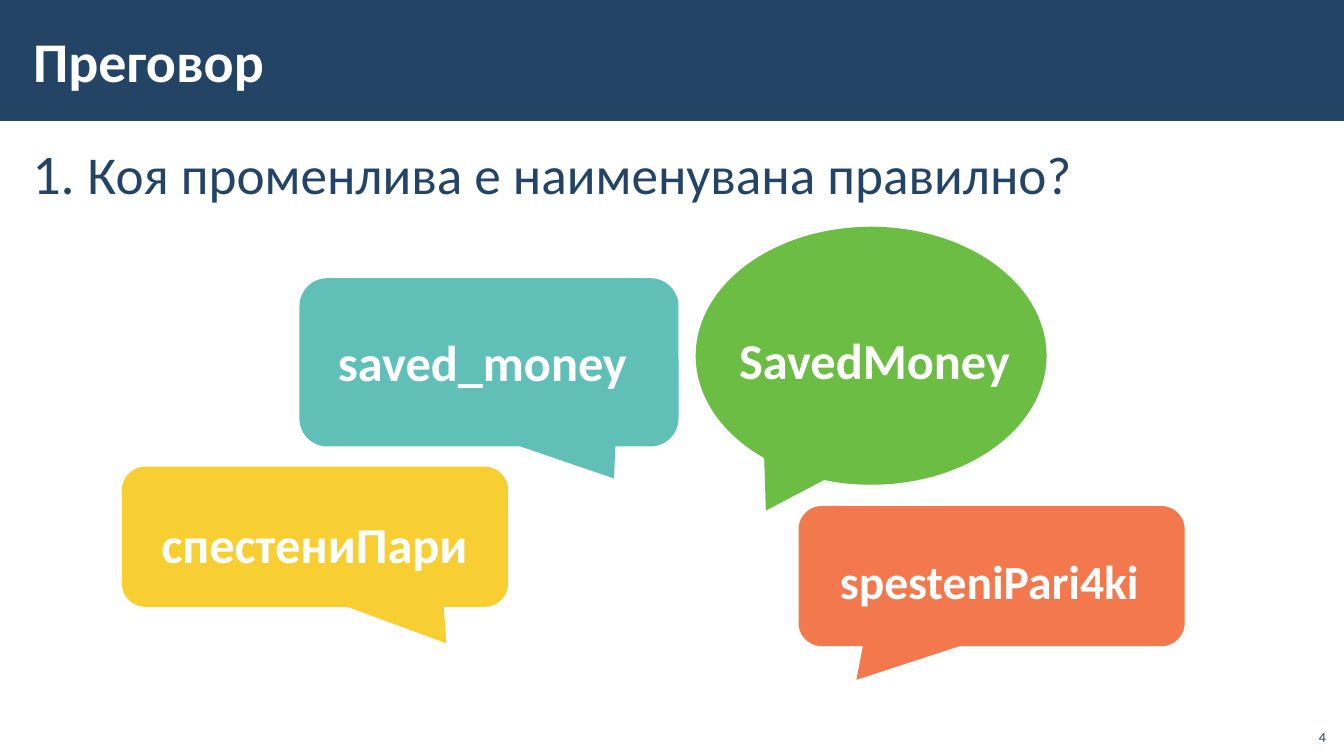
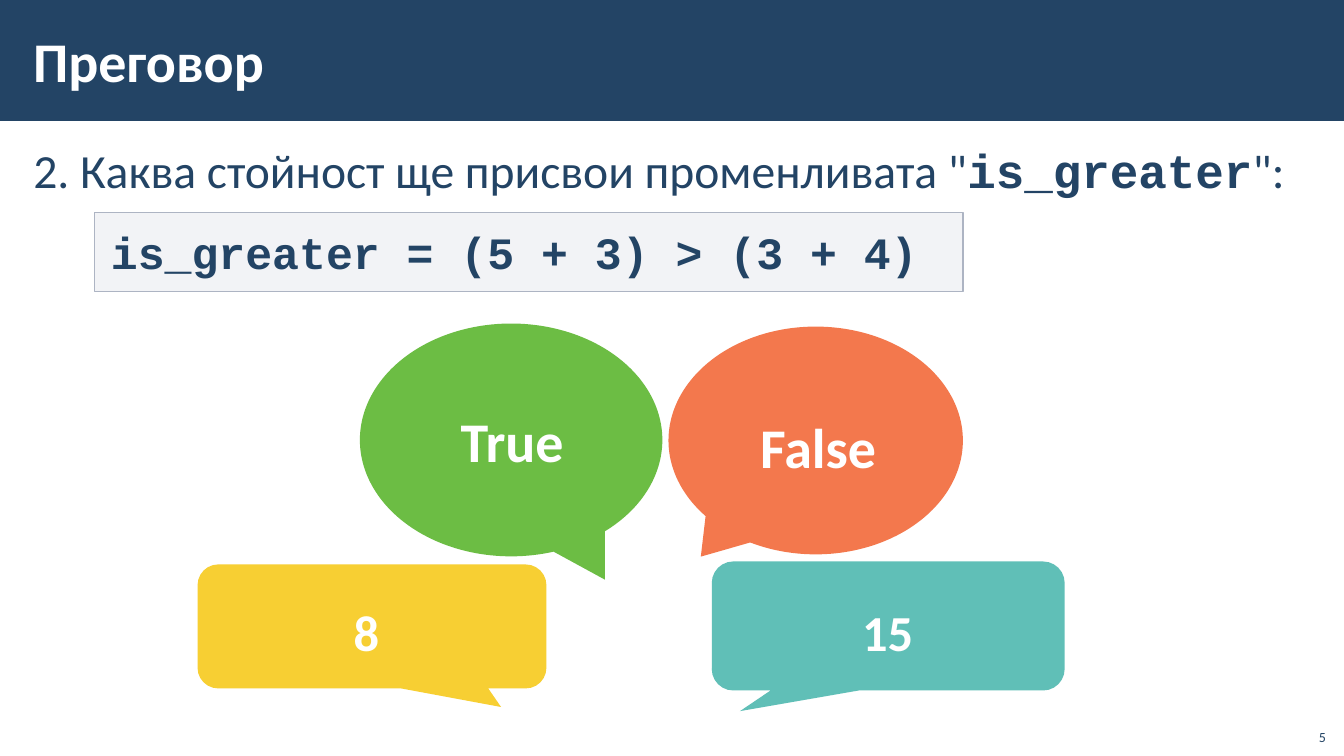
from lxml import etree
from pptx import Presentation
from pptx.dml.color import RGBColor
from pptx.enum.shapes import MSO_SHAPE
from pptx.enum.text import MSO_ANCHOR, PP_ALIGN
from pptx.oxml.ns import qn
from pptx.util import Inches, Pt

RECT = MSO_SHAPE.RECTANGLE
OVAL_CALLOUT = MSO_SHAPE.OVAL_CALLOUT
ROUND_CALLOUT = MSO_SHAPE.ROUNDED_RECTANGULAR_CALLOUT
TOP, MIDDLE, BOTTOM = MSO_ANCHOR.TOP, MSO_ANCHOR.MIDDLE, MSO_ANCHOR.BOTTOM
LEFT, CENTER, RIGHT = PP_ALIGN.LEFT, PP_ALIGN.CENTER, PP_ALIGN.RIGHT

COLORS = {
    "navy": "234465",
    "white": "FFFFFF",
    "gray": "ADB4C3",
    "green": "6CBD44",
    "teal": "60BFB7",
    "yellow": "F5C300",
    "orange": "F15721",
}
OPACITY = {"gray": 15, "yellow": 80, "orange": 80}
SANS, MONO = "Calibri", "Courier New"
BODY_INSETS = (0.12, 0.04)
BOX_INSETS = (0.16, 0.12)


def add_shape(shapes, kind, at, color):
    sp = shapes.add_shape(kind, *[Inches(v) for v in at])
    sp.shadow.inherit = False
    sp.fill.solid()
    sp.fill.fore_color.rgb = RGBColor.from_string(COLORS[color])
    if color in OPACITY:
        clr = sp.fill._xPr.find(qn("a:solidFill"))[0]
        etree.SubElement(clr, qn("a:alpha"), val=str(OPACITY[color] * 1000))
    sp.line.fill.background()
    return sp


def set_text(sp, runs, color, insets, anchor=TOP, align=LEFT, spacing=1.0, gap=0):
    tf = sp.text_frame
    tf.word_wrap = True
    tf.vertical_anchor = anchor
    tf.margin_left = tf.margin_right = Inches(insets[0])
    tf.margin_top = tf.margin_bottom = Inches(insets[1])
    p = tf.paragraphs[0]
    p.alignment = align
    p.line_spacing = spacing
    p.space_before = p.space_after = Pt(gap)
    for text, size, font, bold in runs:
        r = p.add_run()
        r.text = text
        r.font.size = Pt(size)
        r.font.name = font
        r.font.bold = bold
        r.font.color.rgb = RGBColor.from_string(COLORS[color])


SLIDES = [
    {
        "number": "4",
        "question_at": (0.2, 1.3, 12.91, 5.67),
        "question": [
            ("1. ", 40, SANS, False),
            ("Коя променлива е наименувана правилно?", 38, SANS, False),
        ],
        "code": None,
        "answers": [
            ("SavedMoney", 36, "green", OVAL_CALLOUT, (6.9, 2.25, 3.48, 2.56),
             (-0.3, 0.6), (7.17, 3.15, 3.22, 0.84), LEFT, 1.0),
            ("спестениПари", 36, "yellow", ROUND_CALLOUT, (1.21, 4.63, 3.83, 1.39),
             (0.34, 0.76), (1.08, 4.91, 4.08, 0.87), CENTER, 1.1),
            ("spesteniPari4ki", 34, "orange", ROUND_CALLOUT, (7.92, 5.02, 3.83, 1.39),
             (-0.35, 0.74), (8.17, 5.3, 3.44, 0.84), LEFT, 1.1),
            ("saved_money", 36, "teal", ROUND_CALLOUT, (2.97, 2.76, 3.76, 1.67),
             (0.33, 0.69), (3, 3.11, 3.57, 0.87), CENTER, 1.1),
        ],
    },
    {
        "number": "5",
        "question_at": (0.21, 1.33, 12.91, 5.67),
        "question": [
            ('2. Каква стойност ще присвои променливата "', 34, SANS, False),
            ("is_greater", 34, MONO, True),
            ('":', 34, SANS, False),
        ],
        "code": "is_greater = (5 + 3) > (3 + 4)",
        "answers": [
            ("8", 36, "yellow", ROUND_CALLOUT, (1.96, 5.6, 3.46, 1.23),
             (0.37, 0.65), (2.31, 5.78, 2.65, 0.87), CENTER, 1.1),
            ("True", 40, "green", OVAL_CALLOUT, (3.57, 3.21, 3, 2.31),
             (0.31, 0.6), (4.41, 3.91, 1.8, 0.91), LEFT, 1.0),
            ("False", 40, "orange", OVAL_CALLOUT, (6.63, 3.24, 2.92, 2.26),
             (-0.39, 0.51), (7.38, 3.91, 1.71, 0.94), LEFT, 1.1),
            ("15", 36, "teal", ROUND_CALLOUT, (7.06, 5.57, 3.5, 1.28),
             (-0.42, 0.66), (7.31, 5.78, 2.99, 0.87), CENTER, 1.1),
        ],
    },
]

prs = Presentation()
prs.slide_width = Inches(13.33)
prs.slide_height = Inches(7.5)

for content in SLIDES:
    s = prs.slides.add_slide(prs.slide_layouts[6])
    add_shape(s.shapes, RECT, (0, 0, 13.33, 1.2), "navy")

    question = s.shapes.add_textbox(*[Inches(v) for v in content["question_at"]])
    set_text(question, content["question"], "navy", BODY_INSETS, spacing=1.05, gap=6)

    title = s.shapes.add_textbox(Inches(0.21), Inches(0.11), Inches(10.63), Inches(0.97))
    set_text(title, [("Преговор", 40, SANS, True)], "white", BODY_INSETS, MIDDLE)

    if content["code"]:
        code = add_shape(s.shapes, RECT, (0.94, 2.11, 8.61, 0.78), "gray")
        code.line.color.rgb = RGBColor.from_string(COLORS["gray"])
        code.line.width = Pt(1)
        set_text(code, [(content["code"], 32, MONO, True)], "navy", BOX_INSETS, gap=6)

    for text, size, color, kind, at, tail, text_at, align, spacing in content["answers"]:
        group = s.shapes.add_group_shape()
        bubble = add_shape(group.shapes, kind, at, color)
        bubble.adjustments[0], bubble.adjustments[1] = tail
        label = group.shapes.add_textbox(*[Inches(v) for v in text_at])
        set_text(label, [(text, size, SANS, True)], "white", BOX_INSETS,
                 align=align, spacing=spacing)

    number = s.shapes.add_textbox(Inches(12.85), Inches(7.12), Inches(0.4), Inches(0.32))
    set_text(number, [(content["number"], 10, SANS, False)], "navy", (0.1, 0.05),
             BOTTOM, RIGHT)

prs.save("out.pptx")
